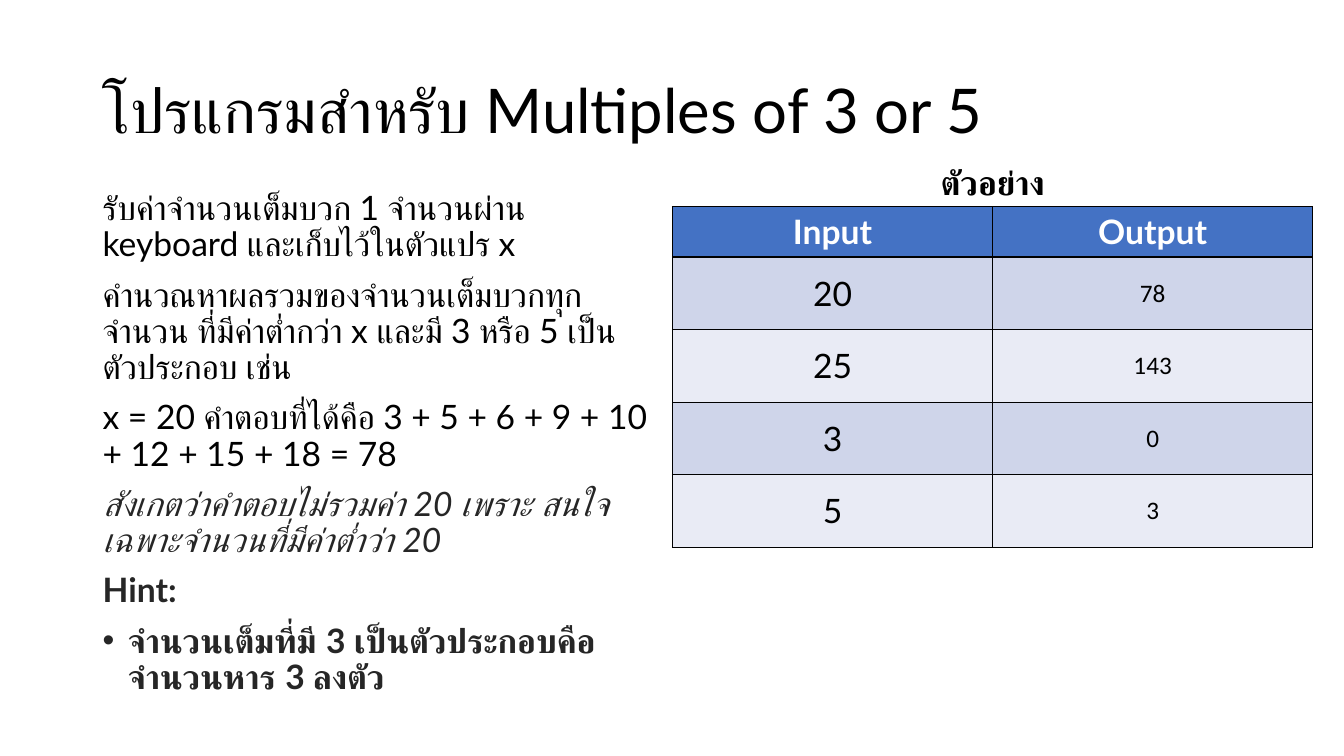
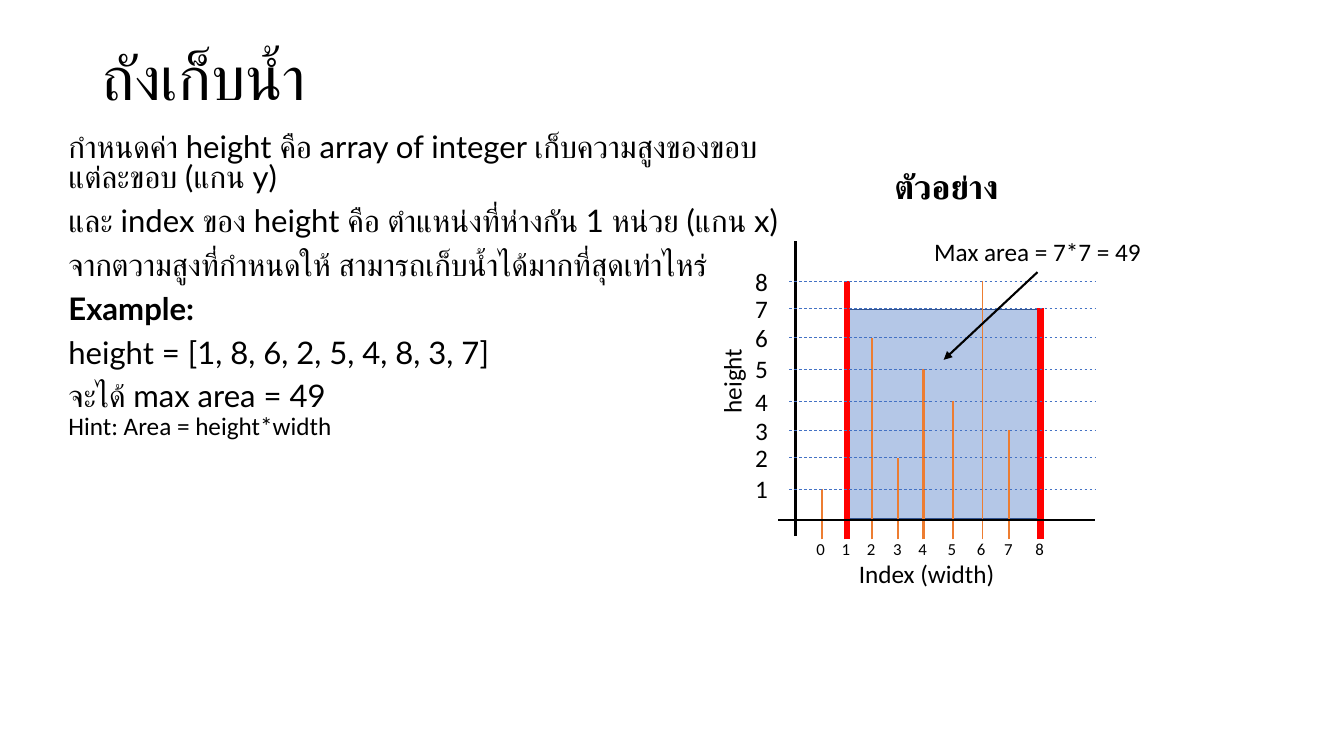
"""Build two Thai programming exercise slides: multiples of 3 or 5, and the water tank."""
from lxml import etree
from pptx import Presentation
from pptx.dml.color import RGBColor
from pptx.enum import dml, shapes, text
from pptx.oxml import ns
from pptx.util import Inches, Pt

BLACK, WHITE, DARK, RED = "000000", "FFFFFF", "262626", "FF0000"
BLUE, ORANGE, WATER, WATER_EDGE = "4472C4", "ED7D31", "B4C7E7", "325491"
ROW_FILLS = ["E9EBF5", "CFD5EA"]
LEFT, CENTER = text.PP_ALIGN.LEFT, text.PP_ALIGN.CENTER


def write(holder, words, size=18, font="Calibri", color=BLACK, bold=False, italic=False,
          align=LEFT, spacing=1.0, before=0, bullet=False):
    """Append one formatted paragraph to a shape or table cell."""
    frame = holder.text_frame
    frame.word_wrap = True
    paragraph = frame.paragraphs[0]
    if paragraph.runs:
        paragraph = frame.add_paragraph()
    paragraph.alignment = align
    paragraph.line_spacing = spacing
    paragraph.space_before = Pt(before)
    run = paragraph.add_run()
    run.text = words
    run.font.name = font
    run.font.size = Pt(size)
    run.font.bold = bold
    run.font.italic = italic
    run.font.color.rgb = RGBColor.from_string(color)
    if bullet:
        properties = paragraph._p.get_or_add_pPr()
        properties.set("marL", str(Inches(0.25)))
        properties.set("indent", str(Inches(-0.25)))
        etree.SubElement(properties, ns.qn("a:buFont")).set("typeface", "Arial")
        etree.SubElement(properties, ns.qn("a:buChar")).set("char", "•")


def draw_line(slide, start, end, color, width, dashed=False, arrow=False):
    """Draw a straight line without shadow and return it."""
    points = map(Inches, (*start, *end))
    connector = slide.shapes.add_connector(shapes.MSO_CONNECTOR.STRAIGHT, *points)
    connector.line.color.rgb = RGBColor.from_string(color)
    connector.line.width = Pt(width)
    if dashed:
        connector.line.dash_style = dml.MSO_LINE.DASH
    properties = connector.element.spPr
    if arrow:
        outline = properties.find(ns.qn("a:ln"))
        etree.SubElement(outline, ns.qn("a:tailEnd")).set("type", "triangle")
    etree.SubElement(properties, ns.qn("a:effectLst"))
    return connector


presentation = Presentation()
presentation.slide_width = Inches(13.33)
presentation.slide_height = Inches(7.5)

pages = [
    {
        "title": "โปรแกรมสำหรับ Multiples of 3 or 5",
        "title_height": 1.45,
        "body_box": (0.92, 1.85, 5.64, 4.96),
        "body_format": {"size": 24, "spacing": 0.9},
        "body": [
            ("รับค่าจำนวนเต็มบวก 1 จำนวนผ่าน keyboard และเก็บไว้ในตัวแปร x", {}),
            ("คำนวณหาผลรวมของจำนวนเต็มบวกทุกจำนวน ที่มีค่าต่ำกว่า x และมี 3 หรือ 5 เป็นตัวประกอบ เช่น", {}),
            ("x = 20 คำตอบที่ได้คือ 3 + 5 + 6 + 9 + 10 + 12 + 15 + 18 = 78", {}),
            ("สังเกตว่าคำตอบไม่รวมค่า 20 เพราะ สนใจเฉพาะจำนวนที่มีค่าต่ำว่า 20",
             {"color": DARK, "italic": True}),
            ("Hint:", {"color": DARK, "bold": True}),
            ("จำนวนเต็มที่มี 3 เป็นตัวประกอบคือ จำนวนหาร 3 ลงตัว",
             {"color": DARK, "bold": True, "bullet": True}),
        ],
        "example_box": (6.67, 1.56, 6.35, 0.5),
    },
    {
        "title": "ถังเก็บน้ำ",
        "title_height": 0.8,
        "body_box": (0.58, 1.29, 7.62, 2.63),
        "body_format": {"size": 22.2, "spacing": 0.8},
        "body": [
            ("กำหนดค่า height คือ array of integer เก็บความสูงของขอบแต่ละขอบ (แกน y)", {}),
            ("และ index ของ height คือ ตำแหน่งที่ห่างกัน 1 หน่วย (แกน x)", {}),
            ("จากตวามสูงที่กำหนดให้ สามารถเก็บน้ำได้มากที่สุดเท่าไหร่", {}),
            ("Example:", {"bold": True}),
            ("height = [1, 8, 6, 2, 5, 4, 8, 3, 7]", {}),
            ("จะได้ max area = 49", {}),
        ],
        "example_box": (7.28, 1.6, 4.21, 0.5),
    },
]

for page in pages:
    slide = presentation.slides.add_slide(presentation.slide_layouts[5])
    title = slide.shapes.title
    title.left, title.top = Inches(0.92), Inches(0.4)
    title.width, title.height = Inches(11.5), Inches(page["title_height"])
    title.text_frame.auto_size = text.MSO_AUTO_SIZE.NONE
    title.text_frame.vertical_anchor = text.MSO_ANCHOR.MIDDLE
    write(title, page["title"], size=44, font="Lato", spacing=0.9)
    body = slide.shapes.add_textbox(*map(Inches, page["body_box"]))
    for words, emphasis in page["body"]:
        write(body, words, font="Lato", before=10, **page["body_format"], **emphasis)
    example = slide.shapes.add_textbox(*map(Inches, page["example_box"]))
    write(example, "ตัวอย่าง", size=24, font="Lato", bold=True, align=CENTER)

multiples_slide, tank_slide = presentation.slides

rows = [("Input", "Output"), ("20", "78"), ("25", "143"), ("3", "0"), ("5", "3")]
table_box = map(Inches, (6.67, 2.05, 6.35, 3.4))
table = multiples_slide.shapes.add_table(len(rows), 2, *table_box).table
for row_index, row in enumerate(rows):
    header = row_index == 0
    table.rows[row_index].height = Inches(0.5 if header else 0.72)
    for column_index, words in enumerate(row):
        cell = table.cell(row_index, column_index)
        cell.vertical_anchor = text.MSO_ANCHOR.MIDDLE
        properties = cell._tc.get_or_add_tcPr()
        for side in ("a:lnL", "a:lnR", "a:lnT", "a:lnB"):
            border = etree.SubElement(properties, ns.qn(side), w=str(Pt(1)))
            border_fill = etree.SubElement(border, ns.qn("a:solidFill"))
            etree.SubElement(border_fill, ns.qn("a:srgbClr"), val=BLACK)
        cell.fill.solid()
        cell.fill.fore_color.rgb = RGBColor.from_string(BLUE if header else ROW_FILLS[row_index % 2])
        answer = column_index == 1 and not header
        write(cell, words, size=18 if answer else 24, font="Calibri" if answer else "Lato",
              color=WHITE if header else BLACK, bold=header, align=CENTER)

heights = [1, 8, 6, 2, 5, 4, 8, 3, 7]
bar_positions = [8.15, 8.4, 8.65, 8.91, 9.16, 9.45, 9.74, 10.01, 10.32]
levels = [4.85, 4.54, 4.27, 3.98, 3.66, 3.35, 3.06, 2.79]
tank_walls = (1, 8)

water = tank_slide.shapes.add_shape(shapes.MSO_SHAPE.RECTANGLE, *map(Inches, (8.4, 3.07, 1.92, 2.08)))
water.shadow.inherit = False
water.fill.solid()
water.fill.fore_color.rgb = RGBColor.from_string(WATER)
water.line.color.rgb = RGBColor.from_string(WATER_EDGE)
water.line.width = Pt(1)

for index, (x, height) in enumerate(zip(bar_positions, heights)):
    wall = index in tank_walls
    width = 4.5 if wall else 0.5 if index == 6 else 1.5
    draw_line(tank_slide, (x, 5.35), (x, levels[height - 1]), RED if wall else ORANGE, width)
    label = tank_slide.shapes.add_textbox(*map(Inches, (x - 0.15, 5.3, 0.34, 0.3)))
    write(label, str(index), size=12)

draw_line(tank_slide, (7.72, 5.16), (10.86, 5.16), BLACK, 1.5)
draw_line(tank_slide, (7.89, 5.32), (7.89, 2.39), BLACK, 1.5)

for value, y in enumerate(levels, start=1):
    draw_line(tank_slide, (7.83, y), (10.86, y), BLUE, 0.5, dashed=True)
    label = tank_slide.shapes.add_textbox(*map(Inches, (7.39, y - 0.2, 0.44, 0.4)))
    write(label, str(value))

height_label = tank_slide.shapes.add_textbox(*map(Inches, (5.88, 3.58, 2.75, 0.4)))
height_label.rotation = 270
write(height_label, "height", align=CENTER)
index_label = tank_slide.shapes.add_textbox(*map(Inches, (7.89, 5.49, 2.6, 0.4)))
write(index_label, "Index (width)", align=CENTER)
area_label = tank_slide.shapes.add_textbox(*map(Inches, (8.85, 2.3, 2.88, 0.4)))
write(area_label, "Max area = 7*7 = 49", align=CENTER)
area_arrow = draw_line(tank_slide, (10.29, 2.7), (9.36, 3.57), BLACK, 1.5, arrow=True)
area_arrow.begin_connect(area_label, 2)
hint = tank_slide.shapes.add_textbox(*map(Inches, (0.58, 4.02, 3.25, 0.4)))
write(hint, "Hint: Area = height*width")

presentation.save("out.pptx")
